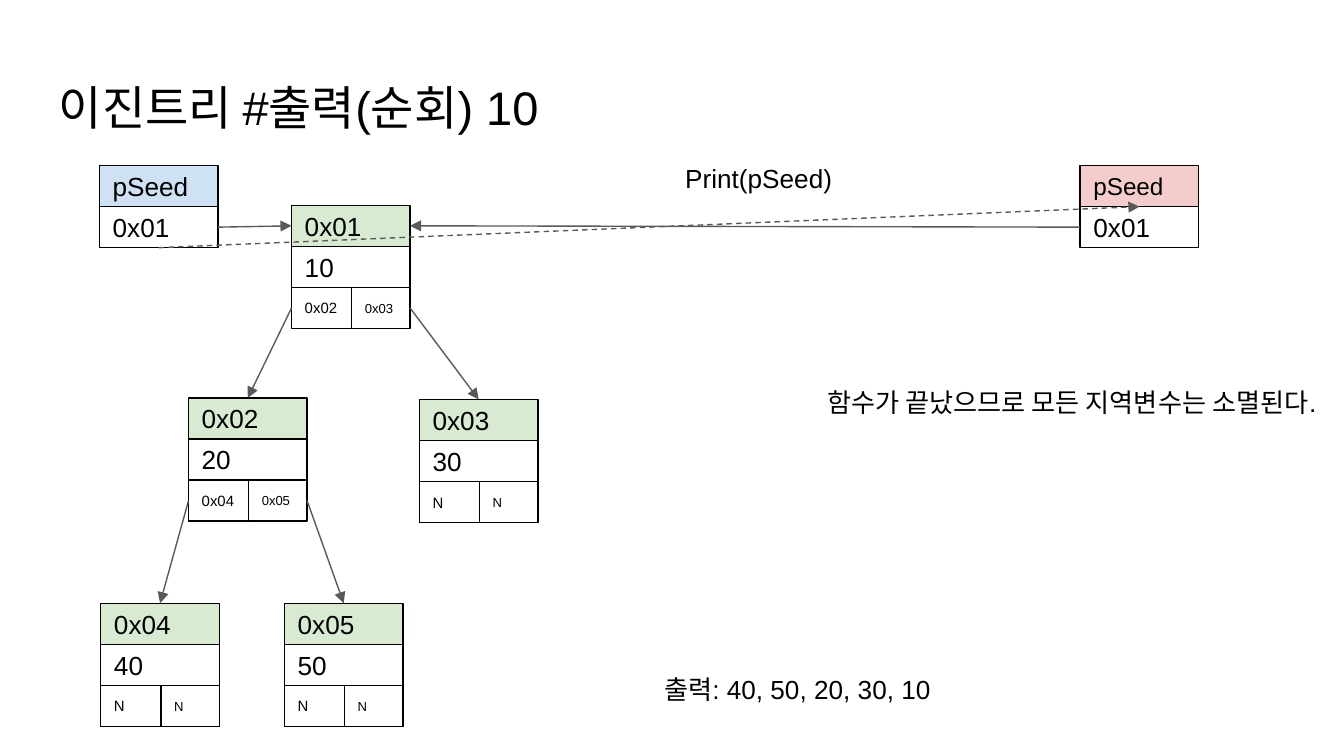
from lxml import etree
from pptx import Presentation
from pptx.dml.color import RGBColor
from pptx.enum.dml import MSO_LINE
from pptx.enum.shapes import MSO_CONNECTOR, MSO_SHAPE
from pptx.enum.text import MSO_ANCHOR, PP_ALIGN
from pptx.oxml.ns import qn
from pptx.util import Pt

RECT = MSO_SHAPE.RECTANGLE
STRAIGHT = MSO_CONNECTOR.STRAIGHT
DASH = MSO_LINE.DASH
TOP, MIDDLE = MSO_ANCHOR.TOP, MSO_ANCHOR.MIDDLE
LEFT = PP_ALIGN.LEFT

BLACK = RGBColor(0x00, 0x00, 0x00)
WHITE = RGBColor(0xFF, 0xFF, 0xFF)
GRAY = RGBColor(0x59, 0x59, 0x59)
BLUE = RGBColor(0xCF, 0xE2, 0xF3)
GREEN = RGBColor(0xD9, 0xEA, 0xD3)
RED = RGBColor(0xF4, 0xCC, 0xCC)

CELL_W, CELL_H = 63.5, 22
LEFT_W = 32.2  # width of the left child field


class TreePage:
    font = "Arial"
    size = 14
    line = 0.75
    inset = 7.2

    def __init__(self, deck):
        self.page = deck.slides.add_slide(deck.slide_layouts[6])

    def add_text(self, box, text, size, anchor):
        frame = box.text_frame
        frame.word_wrap = True
        frame.vertical_anchor = anchor
        frame.margin_left = frame.margin_right = Pt(self.inset)
        frame.margin_top = frame.margin_bottom = Pt(self.inset)
        para = frame.paragraphs[0]
        para.alignment = LEFT
        span = para.add_run()
        span.text = text
        span.font.name = self.font
        span.font.size = Pt(size)
        span.font.color.rgb = BLACK

    def label(self, text, x, y, width, height, size=size):
        box = self.page.shapes.add_textbox(Pt(x), Pt(y), Pt(width), Pt(height))
        self.add_text(box, text, size, TOP)

    def cell(self, group, text, x, y, width=CELL_W, fill=WHITE, size=size):
        box = group.shapes.add_shape(RECT, Pt(x), Pt(y), Pt(width), Pt(CELL_H))
        box.shadow.inherit = False
        box.fill.solid()
        box.fill.fore_color.rgb = fill
        box.line.color.rgb = BLACK
        box.line.width = Pt(self.line)
        self.add_text(box, text, size, MIDDLE)

    def record(self, x, y, head, value, fill, head_size=size):
        group = self.page.shapes.add_group_shape()
        self.cell(group, head, x, y, fill=fill, size=head_size)
        self.cell(group, value, x, y + CELL_H)
        return group

    def node(self, x, y, address, value, left, right):
        group = self.record(x, y, address, value, GREEN)
        row = y + 2 * CELL_H
        self.cell(group, left, x, row, LEFT_W, size=8)
        self.cell(group, right, x + LEFT_W, row, CELL_W - LEFT_W, size=7)

    def arrow(self, start, end, dashed=False):
        ends = [Pt(value) for value in (*start, *end)]
        arrow = self.page.shapes.add_connector(STRAIGHT, *ends)
        arrow.line.color.rgb = GRAY
        arrow.line.width = Pt(self.line)
        if dashed:
            arrow.line.dash_style = DASH
        properties = arrow._element.spPr
        outline = properties.find(qn("a:ln"))
        etree.SubElement(outline, qn("a:tailEnd"), type="triangle")
        etree.SubElement(properties, qn("a:effectLst"))


def main():
    deck = Presentation()
    deck.slide_width, deck.slide_height = Pt(720), Pt(405)
    tree = TreePage(deck)

    # Title and notes
    tree.label("이진트리 #출력(순회) 10", 24.5, 35, 671, 45.4, 25.2)
    tree.label("Print(pSeed)", 360, 80, 116.6, 31.7)
    tree.label("함수가 끝났으므로 모든 지역변수는 소멸된다.", 436.2, 200, 284, 48)
    tree.label("출력: 40, 50, 20, 30, 10", 348.7, 353.6, 326, 31.7)

    # Pointer variables
    seed_x, local_x, seed_y = 53.3, 578.7, 88.7
    tree.record(seed_x, seed_y, "pSeed", "0x01", BLUE)
    tree.record(local_x, seed_y, "pSeed", "0x01", RED, 13)

    # Tree nodes: address -> position, value, child addresses
    nodes = {
        "0x01": (156.2, 110, "10", "0x02", "0x03"),
        "0x02": (101, 213.2, "20", "0x04", "0x05"),
        "0x03": (224.7, 214, "30", "N", "N"),
        "0x04": (54, 323.2, "40", "N", "N"),
        "0x05": (152.4, 323.2, "50", "N", "N"),
    }
    for address, (x, y, value, left, right) in nodes.items():
        tree.node(x, y, address, value, left, right)

    # Arrows from child fields to child nodes
    for x, y, _, left, right in nodes.values():
        for side, child in ((x, left), (x + CELL_W, right)):
            if child in nodes:
                child_x, child_y = nodes[child][:2]
                tree.arrow((side, y + 2.5 * CELL_H),
                           (child_x + CELL_W / 2, child_y))

    # Arrows from the pointers to the root, and the copied argument
    root_x, root_y = nodes["0x01"][:2]
    pointer_y, target_y = seed_y + 1.5 * CELL_H, root_y + CELL_H / 2
    tree.arrow((seed_x + CELL_W, pointer_y), (root_x, target_y))
    tree.arrow((local_x, pointer_y), (root_x + CELL_W, target_y))
    tree.arrow((seed_x + CELL_W / 2, seed_y + 2 * CELL_H),
               (local_x + CELL_W / 2, seed_y + CELL_H), dashed=True)

    deck.save("out.pptx")


if __name__ == "__main__":
    main()
